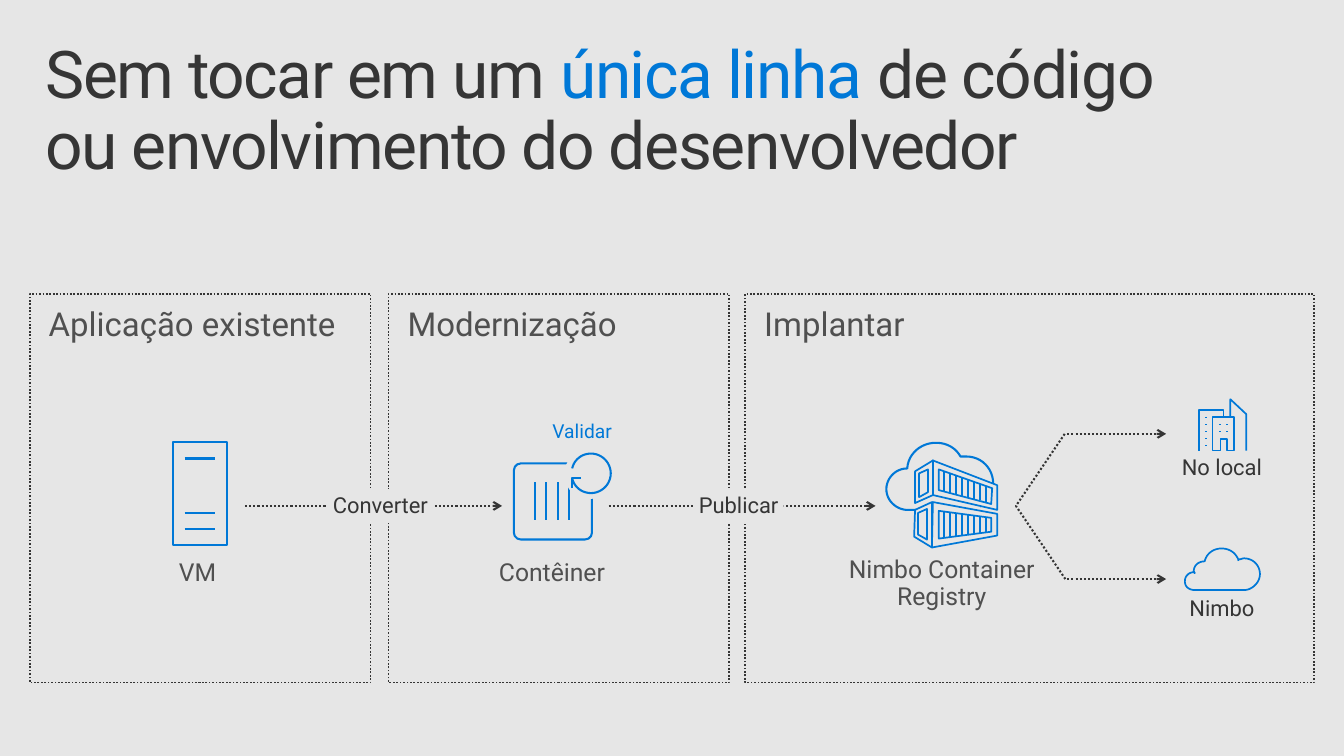
from pptx import Presentation
from pptx.dml.color import RGBColor
from pptx.enum.dml import MSO_LINE
from pptx.enum.shapes import MSO_CONNECTOR, MSO_SHAPE
from pptx.enum.text import MSO_ANCHOR, PP_ALIGN
from pptx.oxml.ns import qn
from pptx.util import Pt
from lxml import etree

DOT = MSO_LINE.ROUND_DOT
LEFT, MID = PP_ALIGN.LEFT, PP_ALIGN.CENTER
RECT, ROUND, OVAL = MSO_SHAPE.RECTANGLE, MSO_SHAPE.ROUNDED_RECTANGLE, MSO_SHAPE.OVAL
FONT = "Roboto"
HEX = {"back": "E6E6E6", "dark": "353535", "grey": "505050", "blue": "0078D7"}

# Content: text
TITLE = [
    [("Sem tocar em um ", "dark"), ("única linha ", "blue"), ("de código", "dark")],
    [("ou envolvimento do desenvolvedor", "dark")],
]
FRAMES = [  # heading, left, width
    ("Aplicação existente", 21.6, 248.4),
    ("Modernização", 283, 248.4),
    ("Implantar", 542.9, 414.7),
]
FRAME_TOP, FRAME_HIGH = 214.3, 283
LABELS = [  # text, left, top, width, height, size, colour, align, inset x, inset y
    ("VM", 105, 398.2, 78, 59, 18, "grey", MID, 7.2, 11.5),
    ("Contêiner", 344.2, 398.2, 116, 36, 18, "grey", MID, 14.4, 11.5),
    ("Nimbo Container Registry", 599.8, 394.6, 172.8, 60, 18, "grey", MID, 14.4, 11.5),
    ("No local", 837.4, 329, 105.8, 24.5, 16, "dark", MID, 7.2, 3.6),
    ("Nimbo", 837.4, 432, 105.8, 24.5, 16, "dark", MID, 7.2, 3.6),
    ("Validar", 388.1, 299.5, 80, 39, 14, "blue", LEFT, 14.4, 11.5),
]
STEPS = [("Converter", 237.6, 79.2), ("Publicar", 505.4, 65.5)]  # text, left, width
STEP_TOP, STEP_HIGH = 356.4, 24.5

# Content: arrows as x1, x2, y
ARROWS = [
    (178.6, 365.8, 368.6), (443.5, 637.9, 368.6),
    (777.6, 849.6, 316.1), (777.6, 849.6, 421.9),
]
FORK = [[(776.2, 421.9), (740.2, 368.6), (776.2, 315.4)]]

# Content: outlines; a pair is a corner, six numbers are a Bézier curve
SERVER = [[(126, 321.8), (165.6, 321.8), (165.6, 397.4), (126, 397.4), (126, 321.8)]]
SERVER += [[(134.6, y), (157, y)] for y in (334.1, 373.7, 385.2)]

TOWERS = [
    [(899.3, 303.8), (899.3, 328.3), (894.2, 328.3), (894.2, 319.7), (889.2, 319.7),
     (889.2, 328.3), (883.4, 328.3), (883.4, 303.8), (899.3, 303.8)],
    [(891.4, 303.8), (891.4, 298.8), (873.4, 298.8), (873.4, 328.3)],
    [(907.9, 328.3), (907.9, 301.7), (896.4, 290.9), (896.4, 303.8)],
]
PANES = [(878.4, 303.8 + 5.2 * i) for i in range(5)]
PANES += [(x, y) for x in (888.8, 894.2) for y in (309, 314.4)]
TOWERS += [[(x, y), (x, y + 0.5)] for x, y in PANES]

CLOUD = [[
    (889.9, 399.6), (895.7, 399.6, 900, 402.5, 902.2, 407.5), (902.2, 408.2),
    (902.9, 407.5), (904.3, 407.5, 905, 406.8, 906.5, 406.8),
    (912.9, 406.8, 918, 411.8, 918, 418.3), (918, 424.1, 912.9, 429.1, 907.9, 429.8),
    (869, 429.8), (865.4, 429.1, 863.3, 427, 863.3, 423.4),
    (863.3, 419.8, 866.2, 416.9, 869.8, 416.9), (870.5, 417.6), (869.8, 416.2),
    (869.8, 411.8, 873.4, 409, 877.7, 409), (879.1, 403.2, 884.2, 399.6, 889.9, 399.6),
]]
BIG_CLOUD = [[
    (660.2, 371.5), (704.2, 371.5), (715, 371.5, 723.6, 362.9, 723.6, 352.1),
    (723.6, 341.3, 715, 332.6, 704.2, 332.6), (699.8, 332.6),
    (696.2, 326.2, 689.8, 322.6, 681.8, 322.6), (671, 322.6, 661.7, 330.5, 661, 341.3),
    (652.3, 341.3, 645.8, 348.5, 645.8, 356.4),
    (645.8, 364.3, 652.3, 370.8, 660.2, 371.5),
]]
PANELS = [  # sides, doors and windows of the two stacked crates
    [(679.7, 335.5), (679.7, 360.7), (726.5, 371.5), (726.5, 353.5)],
    [(679.7, 335.5), (666.7, 343.4), (666.7, 366.5), (679.7, 360.7)],
    [(679.7, 365.8), (726.5, 374.4), (726.5, 390.2), (679, 398.9)],
    [(666.7, 371.5), (679, 365.8), (679, 398.9), (666, 391)],
    [(669.6, 344.9), (676.1, 342), (676.1, 358.6), (669.6, 362.2)],
    [(668.9, 373.7), (675.4, 370.8), (675.4, 393.1), (668.9, 389.5)],
    [(684, 342), (722.9, 355.7), (722.2, 367.2), (684, 357.1)],
    [(684, 372.2), (722.2, 377.3), (722.2, 387.4), (684, 392.4)],
]
RIBS = []
for top, low, drop, rise in ((343.4, 357.8, 1.54, 1.14), (373, 391.7, 0.51, -0.51)):
    for i in range(8):
        x = 688 + 4.37 * i
        RIBS.append([(x, top + drop * i), (x, low + rise * i)])

BARS = [[(389.5 + 8.4 * i, 378.7), (389.5 + 8.4 * i, 351.4)] for i in range(4)]
CYCLE = [
    [(416.9, 348.5), (418.3, 355, 424.1, 359.3, 430.6, 359.3),
     (438.5, 359.3, 445, 352.8, 445, 344.9), (445, 337, 438.5, 330.5, 430.6, 330.5),
     (424.1, 330.5, 418.3, 334.8, 416.9, 341.3)],
    [(416.9, 355.7), (416.9, 348.5), (423.4, 348.5)],
]

deck = Presentation()
deck.slide_width, deck.slide_height = Pt(979.2), Pt(550.8)
slide = deck.slides.add_slide(deck.slide_layouts[6])
slide.background.fill.solid()
slide.background.fill.fore_color.rgb = RGBColor.from_string(HEX["back"])


def paint(shape, fill=None, line=None, width=1.5, dash=None):
    shape.shadow.inherit = False
    if fill:
        shape.fill.solid()
        shape.fill.fore_color.rgb = RGBColor.from_string(HEX[fill])
    else:
        shape.fill.background()
    if line:
        stroke(shape.line, line, width, dash)
    else:
        shape.line.fill.background()


def stroke(line, hue, width, dash=None):
    line.color.rgb = RGBColor.from_string(HEX[hue])
    line.width = Pt(width)
    if dash:
        line.dash_style = dash


def block(kind, x, y, w, h, **look):
    shape = slide.shapes.add_shape(kind, Pt(x), Pt(y), Pt(w), Pt(h))
    paint(shape, **look)
    return shape


def flatten(path):
    """Turn curves into short straight pieces."""
    out = [path[0]]
    for part in path[1:]:
        if len(part) == 2:
            out.append(part)
            continue
        nodes = [out[-1], part[:2], part[2:4], part[4:]]
        for n in range(1, 13):
            t = n / 12
            mix = ((1 - t) ** 3, 3 * t * (1 - t) ** 2, 3 * t * t * (1 - t), t ** 3)
            out.append(tuple(sum(m * p[k] for m, p in zip(mix, nodes)) for k in (0, 1)))
    return out


def outline(paths, close=False, **look):
    pen = None
    for path in paths:
        spots = [(Pt(x), Pt(y)) for x, y in flatten(path)]
        if pen is None:
            pen = slide.shapes.build_freeform(*spots[0], scale=1.0)
        else:
            pen.move_to(*spots[0])
        pen.add_line_segments(spots[1:], close=close)
    paint(pen.convert_to_shape(), **look)


def style(run, size, hue):
    run.font.name, run.font.size = FONT, Pt(size)
    run.font.color.rgb = RGBColor.from_string(HEX[hue])


def setup(frame, pad_x, pad_y, anchor=MSO_ANCHOR.TOP):
    frame.word_wrap = True
    frame.vertical_anchor = anchor
    frame.margin_left = frame.margin_right = Pt(pad_x)
    frame.margin_top = frame.margin_bottom = Pt(pad_y)


def write(frame, text, size, hue, align):
    frame.text = text
    para = frame.paragraphs[0]
    para.alignment, para.line_spacing = align, 0.9
    style(para.runs[0], size, hue)


def label(text, x, y, w, h, size, hue, align, pad_x, pad_y):
    box = slide.shapes.add_textbox(Pt(x), Pt(y), Pt(w), Pt(h))
    setup(box.text_frame, pad_x, pad_y)
    write(box.text_frame, text, size, hue, align)


# Title
box = slide.shapes.add_textbox(Pt(21.6), Pt(23), Pt(936), Pt(110))
setup(box.text_frame, 11.5, 7.2)
para = box.text_frame.paragraphs[0]
para.line_spacing = 0.9
for row, parts in enumerate(TITLE):
    if row:
        para.add_line_break()
    for text, hue in parts:
        run = para.add_run()
        run.text = text
        style(run, 48, hue)
        run.font._element.set("spc", "-100")

# Frames with headings
for name, x, w in FRAMES:
    block(RECT, x, FRAME_TOP, w, FRAME_HIGH, line="dark", width=1.25, dash=DOT)
    label(name, x - 0.5, FRAME_TOP - 1.6, 250, 54, 24, "grey", LEFT, 14.4, 11.5)

# Arrows and fork
for x1, x2, y in ARROWS:
    arrow = slide.shapes.add_connector(MSO_CONNECTOR.STRAIGHT, Pt(x1), Pt(y), Pt(x2), Pt(y))
    stroke(arrow.line, "dark", 1.5, DOT)
    etree.SubElement(arrow.line._get_or_add_ln(), qn("a:tailEnd"), type="arrow")
    etree.SubElement(arrow._element.spPr, qn("a:effectLst"))
outline(FORK, line="dark", dash=DOT)

# Server, towers and cloud
outline(SERVER, line="blue")
outline(TOWERS, line="blue", width=1.25)
outline(CLOUD, close=True, line="blue", width=1.25)

# Registry: cloud behind two crates
outline(BIG_CLOUD, close=True, fill="back", line="blue")
block(RECT, 702.7, 367.2, 11.5, 4.3, fill="back")
for panel in PANELS:
    outline([panel], close=True, fill="back", line="blue", width=1.25)
outline(RIBS, line="blue", width=1.25)

# Container with refresh sign
crate = block(ROUND, 374.4, 337.7, 56.9, 55.4, fill="back", line="blue")
crate.adjustments[0] = 0.09
outline(BARS, line="blue")
block(OVAL, 411.1, 327.6, 36, 36, fill="back")
outline(CYCLE, line="blue")

# Captions and step names
for item in LABELS:
    label(*item)
for name, x, w in STEPS:
    step = block(RECT, x, STEP_TOP, w, STEP_HIGH, fill="back")
    setup(step.text_frame, 0, 3.6, MSO_ANCHOR.MIDDLE)
    write(step.text_frame, name, 16, "dark", MID)

deck.save("out.pptx")
